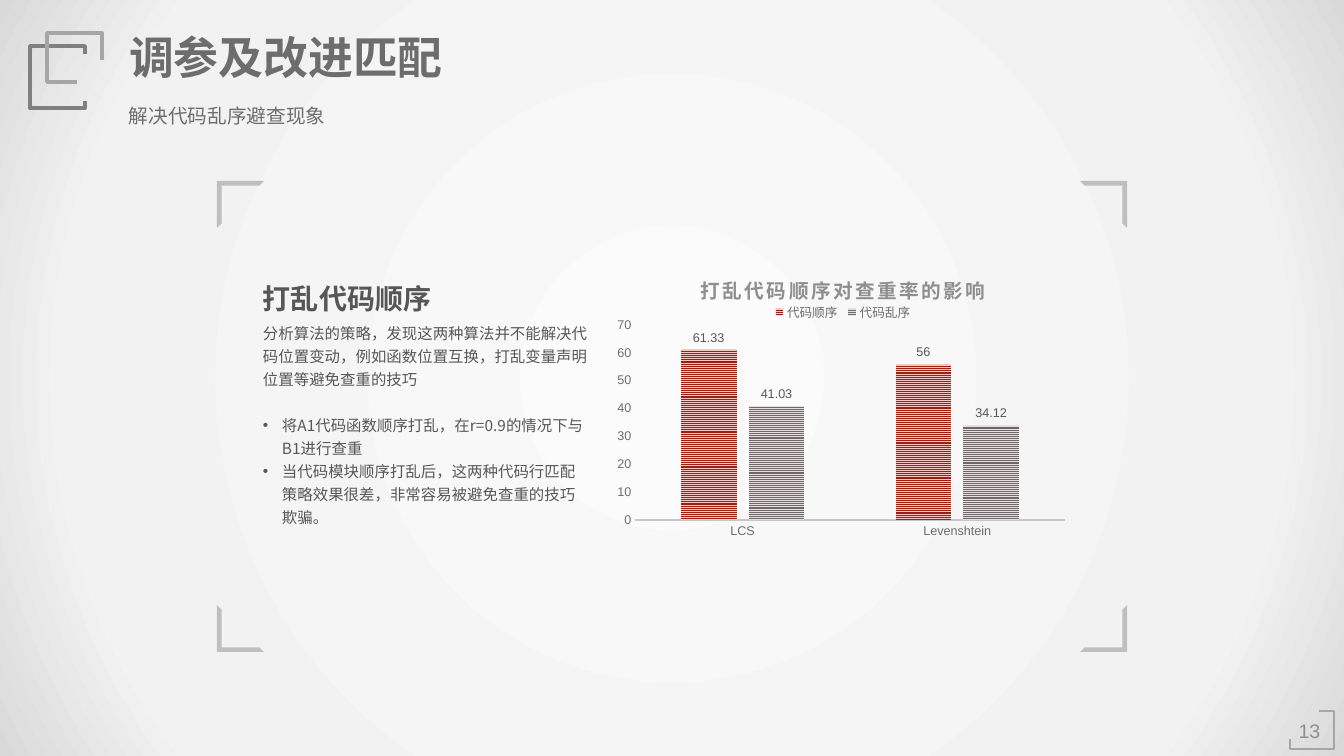
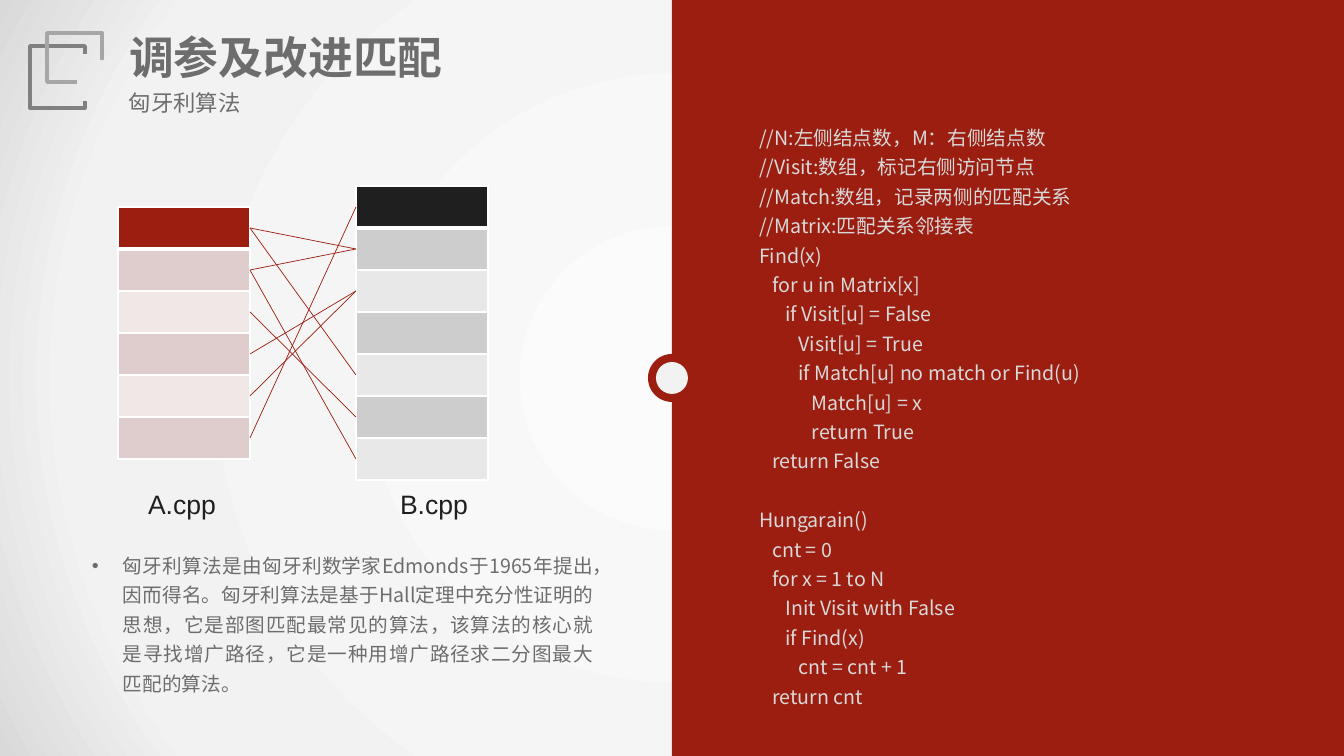
from lxml import etree
from pptx import Presentation
from pptx import util as u
from pptx.chart.data import CategoryChartData
from pptx.dml.color import RGBColor
from pptx.enum import chart as ch, dml, shapes, text
from pptx.oxml import parse_xml
from pptx.oxml.ns import nsdecls, qn

SCALE = 12192000 / 1344  # EMU in one px
COLORS = {
    "red": "9B1E11", "rose": "DECDCC", "pale_rose": "EFE8E7", "light_red": "F8C7C2",
    "ink": "1F1F1F", "silver": "CDCDCD", "pale_silver": "E8E8E8", "white": "FFFFFF",
    "title": "6D6D6D", "body": "575757", "code": "D9D9D9", "faint": "8F8F8F",
    "dark_frame": "808080", "frame": "A6A6A6", "corner": "BFBFBF", "axis": "C7C7C7",
    "taupe": "736666", "light_taupe": "E3E0E0", "paper": "F2F2F2", "glow": "FBFBFB",
}
RGB = {name: RGBColor.from_string(value) for name, value in COLORS.items()}
CJK = "Noto Sans CJK SC"
LEFT, CENTER, JUSTIFY = text.PP_ALIGN.LEFT, text.PP_ALIGN.CENTER, text.PP_ALIGN.JUSTIFY
TOP, MIDDLE = text.MSO_ANCHOR.TOP, text.MSO_ANCHOR.MIDDLE


def px(*lengths):
    return [round(length * SCALE) for length in lengths]


def write(shape, lines, size, color, font="Arial", bold=False, align=LEFT, anchor=TOP,
          inset=(10, 5), wrap=True, leading=None, gaps=None, bullets_from=None, indent=0):
    """Fill a shape with paragraphs; gaps maps a line index to its space before in points."""
    frame = shape.text_frame
    frame.auto_size = text.MSO_AUTO_SIZE.NONE
    frame.word_wrap, frame.vertical_anchor = wrap, anchor
    frame.margin_left, frame.margin_top = frame.margin_right, frame.margin_bottom = px(*inset)
    for i, line in enumerate(lines):
        paragraph = frame.add_paragraph() if i else frame.paragraphs[0]
        paragraph.alignment = align
        if leading:
            paragraph.line_spacing = u.Pt(leading)
        if gaps and i in gaps:
            paragraph.space_before = u.Pt(gaps[i])
        if bullets_from is not None and i >= bullets_from:
            props = paragraph._p.get_or_add_pPr()
            hang = px(indent)[0]
            props.set("marL", str(hang))
            props.set("indent", str(-hang))
            etree.SubElement(props, qn("a:buFont"), typeface="Arial")
            etree.SubElement(props, qn("a:buChar"), char="•")
        run = paragraph.add_run()
        run.text = line
        run.font.size, run.font.bold, run.font.name = u.Pt(size), bold, font
        run.font.color.rgb = RGB[color]
        etree.SubElement(run._r.get_or_add_rPr(), qn("a:ea"), typeface=CJK)


prs = Presentation()
prs.slide_width, prs.slide_height = px(1344, 756)

# Shared background: radial grey gradient on the master
master = prs.slide_master
master.background.fill.gradient()
gradient = next(master.element.iter(qn("a:gradFill")))
stops = "".join(
    f'<a:gs pos="{pos}000"><a:srgbClr val="{COLORS[name]}"/></a:gs>'
    for pos, name in ((0, "glow"), (79, "paper"), (100, "code")))
gradient.getparent().replace(gradient, parse_xml(
    f'<a:gradFill {nsdecls("a")} rotWithShape="1"><a:gsLst>{stops}</a:gsLst>'
    '<a:path path="circle"><a:fillToRect l="50000" t="50000" r="50000" b="50000"/></a:path>'
    '</a:gradFill>'))

# Shared header and line frames; the page number frame is on the first slide only
HEADER_FRAMES = [
    ("dark_frame", 2.5, [(85, 54), (85, 46), (30, 46), (30, 108), (85, 108), (85, 101)]),
    ("frame", 2.5, [(102, 60), (102, 33), (47, 33), (47, 82), (77, 82)]),
]
PAGE_FRAME = ("frame", 2, [(1290, 739), (1290, 749), (1334, 749), (1334, 711), (1319, 711)])
slides = []
for subtitle, subtitle_top, subtitle_size, frames in (
        ("解决代码乱序避查现象", 97, 14, HEADER_FRAMES + [PAGE_FRAME]),
        ("匈牙利算法", 84, 16, HEADER_FRAMES)):
    slide = prs.slides.add_slide(prs.slide_layouts[5])
    slides.append(slide)
    for color, weight, points in frames:
        builder = slide.shapes.build_freeform(*points[0], scale=SCALE)
        builder.add_line_segments(points[1:], close=False)
        outline = builder.convert_to_shape()
        outline.shadow.inherit = False
        outline.fill.background()
        outline.line.color.rgb, outline.line.width = RGB[color], u.Pt(weight)
    title = slide.shapes.title
    title.left, title.top, title.width, title.height = px(119, 24, 337, 65)
    write(title, ["调参及改进匹配"], 32, "title", bold=True, anchor=MIDDLE, wrap=False)
    write(slide.shapes.add_textbox(*px(119, subtitle_top, 254, 37)), [subtitle],
          subtitle_size, "title", anchor=MIDDLE)
shuffle, hungarian = slides

# Slide 1: page number and corner marks
write(shuffle.shapes.add_textbox(*px(1288, 715, 43, 31)), ["13"], 14, "faint",
      align=CENTER, anchor=MIDDLE, inset=(7, 4))
for left, top, turn in ((217, 181, 0), (1080, 181, 90), (1080, 605, 180), (217, 605, 270)):
    corner = shuffle.shapes.add_shape(shapes.MSO_SHAPE.HALF_FRAME, *px(left, top, 47, 47))
    corner.adjustments[0] = corner.adjustments[1] = 0.1
    corner.rotation = turn
    corner.shadow.inherit = False
    corner.fill.solid()
    corner.fill.fore_color.rgb = RGB["corner"]
    corner.line.fill.background()

# Slide 1: findings
write(shuffle.shapes.add_textbox(*px(256, 278, 245, 41)), ["打乱代码顺序"], 20, "body",
      bold=True, anchor=MIDDLE, inset=(7, 4))
write(shuffle.shapes.add_textbox(*px(256, 315, 341, 216)), [
    "分析算法的策略，发现这两种算法并不能解决代码位置变动，例如函数位置互换，打乱变量声明位置等避免查重的技巧",
    "将A1代码函数顺序打乱，在r=0.9的情况下与B1进行查重",
    "当代码模块顺序打乱后，这两种代码行匹配策略效果很差，非常容易被避免查重的技巧欺骗。",
], 11, "body", font=CJK, inset=(7, 4), leading=16.5, gaps={1: 16.5}, bullets_from=1, indent=19)

# Slide 1: effect of shuffling on the duplicate rate
rates = CategoryChartData()
rates.categories = ["LCS", "Levenshtein"]
rates.add_series("代码顺序", (61.33, 56))
rates.add_series("代码乱序", (41.03, 34.12))
chart = shuffle.shapes.add_chart(
    ch.XL_CHART_TYPE.COLUMN_CLUSTERED, *px(602, 261, 477, 291), rates).chart
chart.font.size, chart.font.name = u.Pt(10), "Arial"
chart.font.color.rgb = RGB["ink"]

chart.has_title = True
heading = chart.chart_title.text_frame.paragraphs[0].add_run()
heading.text = "打乱代码顺序对查重率的影响"
heading.font.size, heading.font.bold, heading.font.name = u.Pt(14), True, "Arial"
heading.font.color.rgb = RGB["faint"]
heading._r.get_or_add_rPr().set("spc", "150")

chart.has_legend = True
chart.legend.position = ch.XL_LEGEND_POSITION.TOP
chart.legend.include_in_layout = False

for axis in (chart.category_axis, chart.value_axis):
    axis.major_tick_mark = axis.minor_tick_mark = ch.XL_TICK_MARK.NONE
    axis.has_major_gridlines = False
for part in (chart.category_axis.tick_labels, chart.value_axis.tick_labels, chart.legend):
    part.font.size, part.font.name = u.Pt(9), "Arial"
    part.font.color.rgb = RGB["title"]
chart.category_axis.format.line.color.rgb = RGB["axis"]
chart.category_axis.format.line.width = u.Pt(1.5)
chart.value_axis.format.line.fill.background()
chart.value_axis.minimum_scale, chart.value_axis.maximum_scale = 0, 70
chart.value_axis.major_unit = 10

plot = chart.plots[0]
plot.gap_width, plot.overlap, plot.vary_by_categories = 164, -22, False
for series, front, back in zip(plot.series, ("red", "taupe"), ("light_red", "light_taupe")):
    series.invert_if_negative = False
    stripes = series.format.fill
    stripes.patterned()
    stripes.pattern = dml.MSO_PATTERN.NARROW_HORIZONTAL
    stripes.fore_color.rgb, stripes.back_color.rgb = RGB[front], RGB[back]
    labels = series.data_labels
    labels.show_value, labels.position = True, ch.XL_LABEL_POSITION.OUTSIDE_END
    labels.font.size, labels.font.name = u.Pt(9), "Arial"
    labels.font.color.rgb = RGB["body"]

# Fixed places inside the chart, as fractions of its size
for owner_tag, before_tag, place in (
        ("c:title", "c:tx", {"x": 0.2, "y": 0.03}),
        ("c:legend", "c:legendPos", {"x": 0.35, "y": 0.14, "w": 0.31, "h": 0.07}),
        ("c:plotArea", None, {"x": 0.07, "y": 0.22, "w": 0.9, "h": 0.67})):
    owner = next(chart._chartSpace.iter(qn(owner_tag)))
    for old in owner.findall(qn("c:layout")):
        owner.remove(old)
    target = '<c:layoutTarget val="inner"/>' if before_tag is None else ""
    modes = "".join(f'<c:{axis}Mode val="edge"/>' for axis in "xy")
    values = "".join(f'<c:{key} val="{value}"/>' for key, value in place.items())
    layout = parse_xml(f'<c:layout {nsdecls("c")}><c:manualLayout>{target}{modes}{values}'
                       '</c:manualLayout></c:layout>')
    if before_tag:
        owner.find(qn(before_tag)).addnext(layout)
    else:
        owner.insert(0, layout)

# Slide 2: red code panel with its round hinge
for kind, box, color in (
        (shapes.MSO_SHAPE.RECTANGLE, (672, 0, 672, 756), "red"),
        (shapes.MSO_SHAPE.OVAL, (648, 354, 48, 48), "red"),
        (shapes.MSO_SHAPE.OVAL, (656, 362, 32, 32), "paper")):
    panel = hungarian.shapes.add_shape(kind, *px(*box))
    panel.shadow.inherit = False
    panel.fill.solid()
    panel.fill.fore_color.rgb = RGB[color]
    panel.line.fill.background()

code = """//N:左侧结点数，M：右侧结点数
//Visit:数组，标记右侧访问节点
//Match:数组，记录两侧的匹配关系
//Matrix:匹配关系邻接表
Find(x)
   for u in Matrix[x]
      if Visit[u] = False
         Visit[u] = True
         if Match[u] no match or Find(u)
            Match[u] = x
            return True
   return False
Hungarain()
   cnt = 0
   for x = 1 to N
      Init Visit with False
      if Find(x)
         cnt = cnt + 1
   return cnt""".split("\n")
write(hungarian.shapes.add_textbox(*px(749, 115, 440, 601)), code, 14, "code", font=CJK,
      leading=21, gaps={code.index("Hungarain()"): 21})

# Slide 2: the two files as stacks of code blocks
ROW, STACK_WIDTH = 42, 132
A_LEFT, A_TOP, B_LEFT, B_TOP = 118, 207, 356, 186
for left, top, count, head, bands, label, label_left in (
        (A_LEFT, A_TOP, 6, "red", ("pale_rose", "rose"), "A.cpp", 116),
        (B_LEFT, B_TOP, 7, "ink", ("pale_silver", "silver"), "B.cpp", 368)):
    stack = hungarian.shapes.add_table(
        count, 1, *px(left, top, STACK_WIDTH, count * ROW)).table
    for i in range(count):
        block = stack.cell(i, 0)
        block.fill.solid()
        block.fill.fore_color.rgb = RGB[bands[i % 2] if i else head]
        thick = {(0, "B"), (1, "T")}
        for order, side in enumerate("LRTB"):
            width = u.Pt(3 if (i, side) in thick else 1)
            block._tc.get_or_add_tcPr().insert(order, parse_xml(
                f'<a:ln{side} {nsdecls("a")} w="{width}"><a:solidFill>'
                f'<a:srgbClr val="{COLORS["white"]}"/></a:solidFill></a:ln{side}>'))
    write(hungarian.shapes.add_textbox(*px(label_left, 483, STACK_WIDTH, 42)), [label],
          19, "ink", align=CENTER, anchor=MIDDLE)

# Slide 2: candidate matches, as row of A and row of B
for a_row, b_row in ((0, 1), (0, 4), (1, 1), (1, 6), (3, 2), (4, 2), (2, 5), (5, 0)):
    match = hungarian.shapes.add_connector(shapes.MSO_CONNECTOR.STRAIGHT, *px(
        A_LEFT + STACK_WIDTH, A_TOP + ROW * a_row + ROW // 2,
        B_LEFT, B_TOP + ROW * b_row + ROW // 2))
    match.line.color.rgb, match.line.width = RGB["red"], u.Pt(0.5)
    etree.SubElement(match._element.spPr, qn("a:effectLst"))

# Slide 2: explanation
write(hungarian.shapes.add_textbox(*px(82, 543, 521, 156)), [
    "匈牙利算法是由匈牙利数学家Edmonds于1965年提出，因而得名。匈牙利算法是基于Hall定理中充分性证明的思想，"
    "它是部图匹配最常见的算法，该算法的核心就是寻找增广路径，它是一种用增广路径求二分图最大匹配的算法。",
], 14, "title", font=CJK, align=JUSTIFY, leading=21, bullets_from=0, indent=31)

prs.save("out.pptx")
